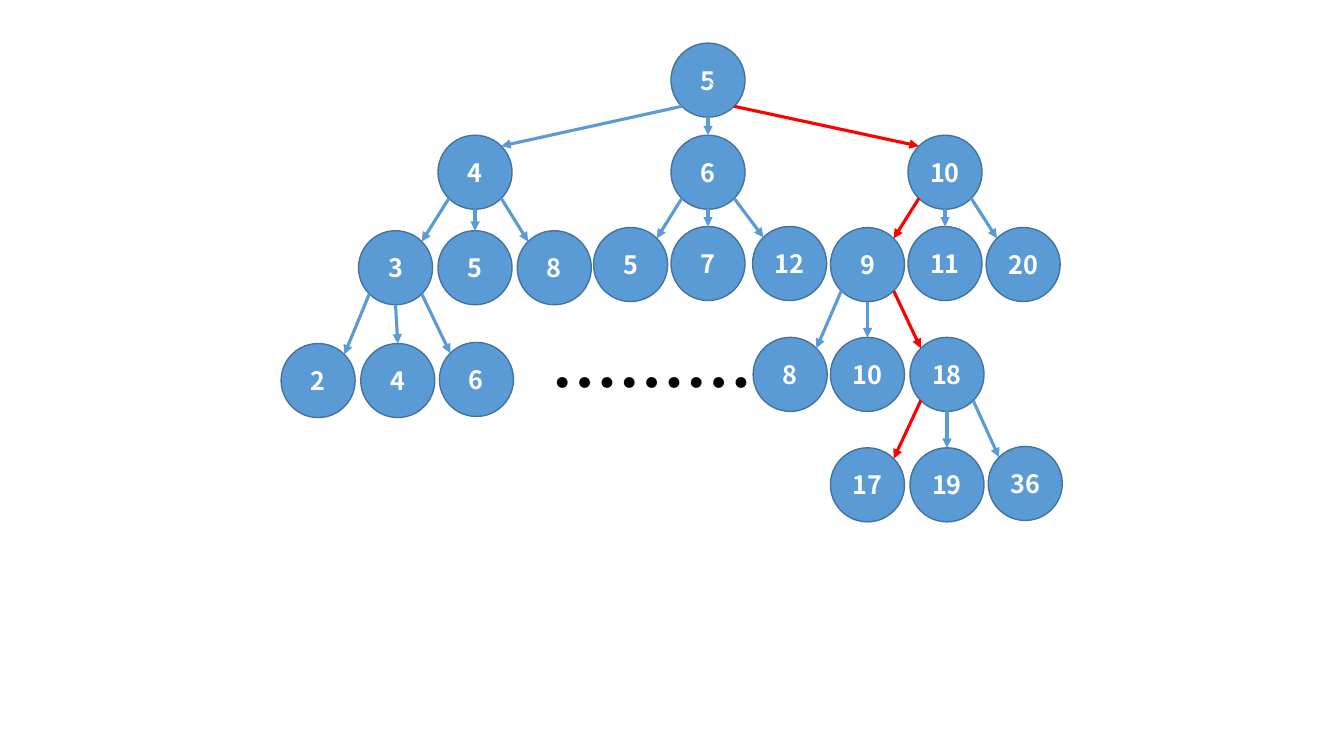
from dataclasses import dataclass
from math import sqrt

from lxml.etree import SubElement
from pptx import Presentation
from pptx.dml.color import RGBColor
from pptx.enum.shapes import MSO_CONNECTOR, MSO_SHAPE
from pptx.enum.text import MSO_ANCHOR, PP_ALIGN
from pptx.oxml.ns import qn
from pptx.util import Pt

BLUE = RGBColor(0x5B, 0x9B, 0xD5)
DARK_BLUE = RGBColor(0x43, 0x73, 0x9E)
RED = RGBColor(0xFF, 0x00, 0x00)
WHITE = RGBColor(0xFF, 0xFF, 0xFF)
BLACK = RGBColor(0x00, 0x00, 0x00)

DIAMETER = 52.9
RADIUS = DIAMETER / 2
DIAGONAL = RADIUS / sqrt(2)


@dataclass
class Node:
    label: str
    left: float
    top: float
    children: tuple = ()
    on_path: bool = False

    def rim(self, side, down):
        """Point on the circle: side is -1, 0 or 1 and down is -1 (top) or 1 (bottom)."""
        reach = DIAGONAL if side else RADIUS
        return self.left + RADIUS + side * reach, self.top + RADIUS + down * reach


TREE = Node("5", 479.3, 30.8, (
    Node("4", 312.9, 96.6, (
        Node("3", 256.1, 164.8, (
            Node("2", 200.8, 245.4),
            Node("4", 257.7, 245.4),
            Node("6", 313.9, 244.6),
        )),
        Node("5", 312.9, 164.8),
        Node("8", 369.5, 164.8),
    )),
    Node("6", 479.3, 96.6, (
        Node("5", 424, 162.5),
        Node("7", 479.3, 161.8),
        Node("12", 537.6, 161.8),
    )),
    Node("10", 648.6, 96.6, (
        Node("9", 593.2, 162.6, (
            Node("8", 538, 241),
            Node("10", 593.2, 241),
            Node("18", 650, 241, (
                Node("17", 593.2, 319.9, on_path=True),
                Node("19", 650, 319.9),
                Node("36", 705.9, 318.9),
            ), on_path=True),
        ), on_path=True),
        Node("11", 648.6, 161.8),
        Node("20", 704.4, 162.5),
    ), on_path=True),
))


class TreeSlide:
    font_name = "Noto Sans CJK SC"

    def __init__(self, slide):
        self.slide = slide

    def set_text(self, shape, text, size, color, alignment):
        paragraph = shape.text_frame.paragraphs[0]
        paragraph.text = text
        paragraph.alignment = alignment
        font = paragraph.font
        font.name = self.font_name
        font.size = Pt(size)
        font.bold = True
        font.color.rgb = color
        properties = paragraph.runs[0]._r.get_or_add_rPr()
        SubElement(properties, qn("a:ea"), typeface=self.font_name)

    def circle(self, node):
        shape = self.slide.shapes.add_shape(
            MSO_SHAPE.OVAL, Pt(node.left), Pt(node.top), Pt(DIAMETER), Pt(DIAMETER))
        shape.shadow.inherit = False
        shape.fill.solid()
        shape.fill.fore_color.rgb = BLUE
        shape.line.color.rgb = DARK_BLUE
        shape.line.width = Pt(1)
        frame = shape.text_frame
        frame.margin_left = frame.margin_right = 0
        frame.vertical_anchor = MSO_ANCHOR.MIDDLE
        self.set_text(shape, node.label, 18, WHITE, PP_ALIGN.CENTER)

    def line(self, start, end, color, width, arrow=False):
        connector = self.slide.shapes.add_connector(
            MSO_CONNECTOR.STRAIGHT, *(Pt(value) for value in (*start, *end)))
        connector.line.color.rgb = color
        connector.line.width = Pt(width)
        if arrow:
            outline = connector._element.spPr.find(qn("a:ln"))
            SubElement(outline, qn("a:tailEnd"), type="triangle")
        SubElement(connector._element.spPr, qn("a:effectLst"))

    def tree(self, node):
        """Draw a node, its subtrees and the arrows to its left, middle and right child."""
        self.circle(node)
        for side, child in zip((-1, 0, 1), node.children):
            self.tree(child)
            self.line(node.rim(side, 1), child.rim(-side, -1),
                      RED if child.on_path else BLUE, 2.25, arrow=True)

    def text(self, text, left, top, width, height, size):
        box = self.slide.shapes.add_textbox(Pt(left), Pt(top), Pt(width), Pt(height))
        box.text_frame.word_wrap = True
        self.set_text(box, text, size, BLACK, PP_ALIGN.LEFT)


def main():
    presentation = Presentation()
    presentation.slide_width = Pt(960)
    presentation.slide_height = Pt(540)
    slide = presentation.slides.add_slide(presentation.slide_layouts[6])
    tree_slide = TreeSlide(slide)
    tree_slide.tree(TREE)
    tree_slide.text("………", 386.6, 240.5, 168.5, 65.5, 48)
    root_center = (TREE.left + RADIUS, TREE.top + RADIUS)
    tree_slide.line(root_center, TREE.rim(1, 1), BLUE, 0.5)
    presentation.save("out.pptx")


if __name__ == "__main__":
    main()
